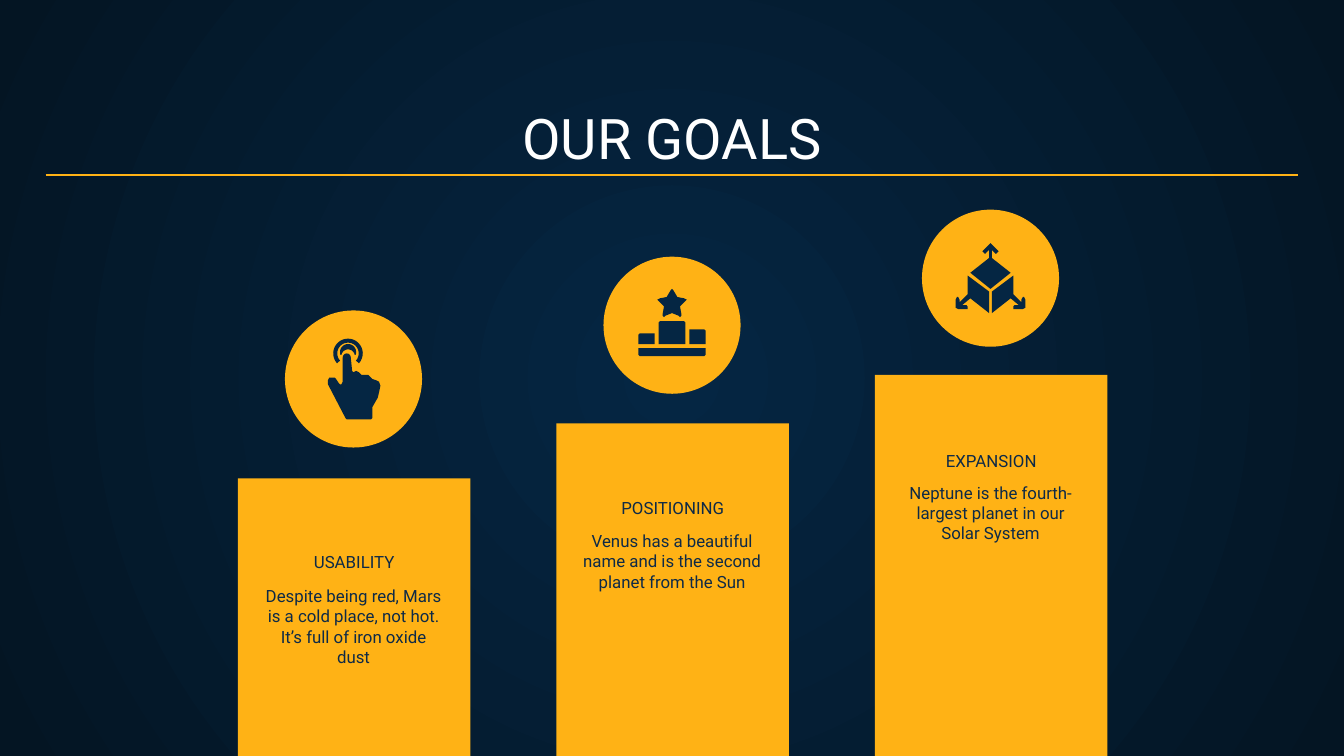
"""Build the "Our goals" slide: three rising bars, each with an icon."""
import math

import lxml.etree
import pptx
import pptx.dml.color
import pptx.enum.shapes
import pptx.enum.text
import pptx.oxml.ns
import pptx.util

Inches = pptx.util.Inches
SHAPE = pptx.enum.shapes.MSO_SHAPE
ANCHOR = pptx.enum.text.MSO_ANCHOR
qn = pptx.oxml.ns.qn

COLORS = {"navy": "052643", "night": "041523", "amber": "FFB215",
          "ink": "0E2A47", "white": "FFFFFF"}
FONT = "Roboto"
FIRST_CENTER, STEP = 2.63, 2.37


def rgb(name):
    return pptx.dml.color.RGBColor.from_string(COLORS[name])


def arc(cx, cy, radius, start, end, steps=24):
    angles = [math.radians(start + (end - start) * i / steps) for i in range(steps + 1)]
    return [(cx + radius * math.cos(a), cy + radius * math.sin(a)) for a in angles]


def mirror(points, axis):
    return [(2 * axis - x, y) for x, y in points]


def tap_icon():
    ring = arc(2.59, 2.63, 0.11, 138, 402) + arc(2.59, 2.63, 0.08, 402, 138)
    crescent = arc(2.59, 2.62, 0.06, 160, 380) + arc(2.59, 2.65, 0.05, 350, 190)
    hand = arc(2.58, 2.66, 0.03, 180, 360, 10) + [
        (2.62, 2.76), (2.63, 2.77), (2.65, 2.76), (2.67, 2.77), (2.69, 2.79),
        (2.72, 2.79), (2.74, 2.79), (2.76, 2.81), (2.77, 2.82), (2.8, 2.83),
        (2.82, 2.84), (2.83, 2.87), (2.82, 2.92), (2.81, 2.96), (2.77, 3.03),
        (2.77, 3.11), (2.76, 3.12), (2.58, 3.12), (2.57, 3.11), (2.44, 2.86),
        (2.44, 2.83), (2.45, 2.81), (2.47, 2.81), (2.49, 2.81), (2.5, 2.82),
        (2.52, 2.85), (2.53, 2.86), (2.54, 2.86), (2.55, 2.84)]
    return [ring, crescent, hand]


def podium_icon():
    star_half = [(5, 2.15), (5.01, 2.16), (5.04, 2.21), (5.09, 2.22), (5.11, 2.23),
                 (5.1, 2.24), (5.06, 2.28), (5.07, 2.34), (5.07, 2.35),
                 (5.06, 2.36), (5.05, 2.35), (5, 2.33)]
    star = star_half + mirror(star_half[1:-1], 5)[::-1]
    first = [(4.9, 2.4), (4.91, 2.39), (5.09, 2.39), (5.1, 2.4), (5.1, 2.56), (4.9, 2.56)]
    second = [(5.13, 2.45), (5.24, 2.45), (5.25, 2.46), (5.25, 2.56), (5.13, 2.56)]
    third = [(4.75, 2.49), (4.76, 2.48), (4.87, 2.48), (4.87, 2.56), (4.75, 2.56)]
    base = [(4.75, 2.59), (5.25, 2.59), (5.25, 2.64), (5.24, 2.65), (4.76, 2.65), (4.75, 2.64)]
    return [star, first, second, third, base]


def cube_icon():
    right = [(7.54, 2.05), (7.38, 2.17), (7.38, 2.33), (7.52, 2.22), (7.58, 2.27),
             (7.55, 2.27), (7.54, 2.28), (7.54, 2.3), (7.55, 2.3), (7.61, 2.3),
             (7.63, 2.29), (7.63, 2.23), (7.62, 2.21), (7.61, 2.21), (7.6, 2.23),
             (7.6, 2.25), (7.54, 2.19)]
    top_half = [(7.37, 1.81), (7.38, 1.82), (7.42, 1.86), (7.43, 1.87), (7.42, 1.88),
                (7.41, 1.89), (7.4, 1.88), (7.38, 1.86), (7.38, 1.92), (7.52, 2.03),
                (7.37, 2.15)]
    top = top_half + mirror(top_half[1:-1], 7.37)[::-1]
    return [right, mirror(right, 7.37), top]


def paint(sp, color):
    sp.shadow.inherit = False
    sp.fill.solid()
    sp.fill.fore_color.rgb = rgb(color)
    sp.line.fill.background()


def add_background(s):
    fill = s.background.fill
    fill.gradient()
    for stop, color in zip(fill.gradient_stops, ("navy", "night")):
        stop.color.rgb = rgb(color)
    grad = s.element.find(".//" + qn("a:gradFill"))
    grad.remove(grad.find(qn("a:lin")))
    circle = lxml.etree.SubElement(grad, qn("a:path"), {"path": "circle"})
    lxml.etree.SubElement(circle, qn("a:fillToRect"), dict.fromkeys("ltrb", "50000"))


def add_block(s, kind, x, y, w, h):
    sp = s.shapes.add_shape(kind, Inches(x), Inches(y), Inches(w), Inches(h))
    paint(sp, "amber")


def add_text(s, text, x, y, w, h, size, color, anchor):
    sp = s.shapes.add_textbox(Inches(x), Inches(y), Inches(w), Inches(h))
    tf = sp.text_frame
    tf.word_wrap = True
    tf.vertical_anchor = anchor
    tf.margin_left = tf.margin_right = tf.margin_top = tf.margin_bottom = Inches(0.1)
    p = tf.paragraphs[0]
    p.alignment = pptx.enum.text.PP_ALIGN.CENTER
    r = p.add_run()
    r.text = text
    r.font.name = FONT
    r.font.size = pptx.util.Pt(size)
    r.font.color.rgb = rgb(color)


def add_icon(s, outlines):
    group = s.shapes.add_group_shape()
    for outline in outlines:
        points = [(Inches(x), Inches(y)) for x, y in outline]
        builder = group.shapes.build_freeform(*points[0])
        builder.add_line_segments(points[1:], close=True)
        paint(builder.convert_to_shape(), "navy")


def add_rule(s, x1, x2, y):
    line = s.shapes.add_connector(pptx.enum.shapes.MSO_CONNECTOR.STRAIGHT,
                                  Inches(x1), Inches(y), Inches(x2), Inches(y))
    line.line.color.rgb = rgb("amber")
    line.line.width = pptx.util.Pt(1)
    lxml.etree.SubElement(line.element.spPr, qn("a:effectLst"))


def add_goal(s, center, bar_top, circle_top, label, text, icon):
    add_block(s, SHAPE.RECTANGLE, center - 0.86, bar_top, 1.73, 5.66 - bar_top)
    add_block(s, SHAPE.OVAL, center - 0.51, circle_top, 1.02, 1.02)
    add_text(s, label, center - 1.13, circle_top + 1.81, 2.27, 0.21, 9, "ink", ANCHOR.BOTTOM)
    add_text(s, text, center - 0.76, bar_top + 0.7, 1.52, 0.55, 9, "ink", ANCHOR.TOP)
    add_icon(s, icon)


def main():
    prs = pptx.Presentation()
    prs.slide_width = Inches(10)
    prs.slide_height = prs.slide_width * 9 // 16
    s = prs.slides.add_slide(prs.slide_layouts[6])
    add_background(s)
    add_text(s, "OUR GOALS", 0.34, 0.71, 9.32, 0.66, 30, "white", ANCHOR.BOTTOM)
    goals = [
        (3.56, 2.31, "USABILITY",
         "Despite being red, Mars is a cold place, not hot. It’s full of iron oxide dust",
         tap_icon()),
        (3.15, 1.91, "POSITIONING",
         "Venus has a beautiful name and is the second planet from the Sun", podium_icon()),
        (2.79, 1.56, "EXPANSION",
         "Neptune is the fourth-largest planet in our Solar System", cube_icon()),
    ]
    for i, goal in enumerate(goals):
        add_goal(s, FIRST_CENTER + i * STEP, *goal)
    add_rule(s, 0.34, 9.66, 1.3)
    prs.save("out.pptx")


if __name__ == "__main__":
    main()
